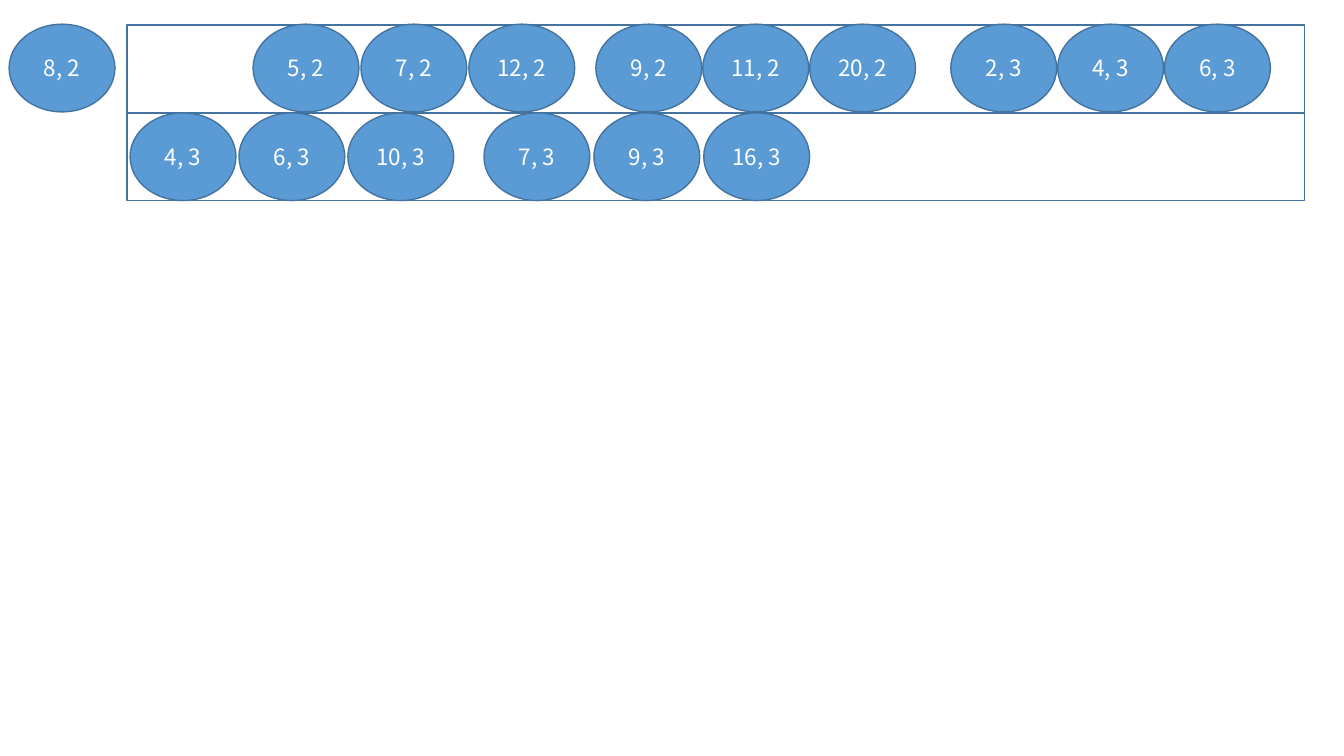
from pptx import Presentation
from pptx import util as u
from pptx.dml import color
from pptx.enum import shapes, text

PX = 9144  # EMU in one px, 100 px to the inch
FONT = "Noto Sans CJK KR"
BLUE, EDGE, WHITE = "5B9BD5", "43739E", "FFFFFF"
NODE_W, NODE_H = 105, 87

# Each group: offset from the bar's left edge, step, labels
TOP = [
    (125, 107, ["5, 2", "7, 2", "12, 2"]),
    (465, 106, ["9, 2", "11, 2", "20, 2"]),
    (817, 106, ["2, 3", "4, 3", "6, 3"]),
]
LOW = [
    (3, 108, ["4, 3", "6, 3", "10, 3"]),
    (354, 109, ["7, 3", "9, 3", "16, 3"]),
]


def rgb(code):
    return color.RGBColor.from_string(code)


def add_form(slide, kind, box, fill):
    form = slide.shapes.add_shape(kind, *(n * PX for n in box))
    form.shadow.inherit = False
    form.fill.solid()
    form.fill.fore_color.rgb = rgb(fill)
    form.line.color.rgb = rgb(EDGE)
    form.line.width = u.Pt(1)
    return form


def add_node(slide, left, top, label):
    node = add_form(slide, shapes.MSO_SHAPE.OVAL,
                    (left, top, NODE_W, NODE_H), BLUE)
    frame = node.text_frame
    frame.text = label
    frame.vertical_anchor = text.MSO_ANCHOR.MIDDLE
    para = frame.paragraphs[0]
    para.alignment = text.PP_ALIGN.CENTER
    font = para.runs[0].font
    font.name = FONT
    font.size = u.Pt(16)
    font.color.rgb = rgb(WHITE)


def add_row(slide, box, groups, lift):
    """Draw a bar and its groups of nodes, raised by lift px."""
    add_form(slide, shapes.MSO_SHAPE.RECTANGLE, box, WHITE)
    left, top = box[:2]
    for start, step, labels in groups:
        for i, label in enumerate(labels):
            add_node(slide, left + start + i * step, top - lift, label)


def main():
    deck = Presentation()
    deck.slide_width, deck.slide_height = 1333 * PX, 750 * PX
    slide = deck.slides.add_slide(deck.slide_layouts[6])

    # Lone node beside the bars
    add_node(slide, 9, 24, "8, 2")

    # Two stacked bars
    add_row(slide, (126, 25, 1168, 87), TOP, 1)
    add_row(slide, (126, 112, 1168, 87), LOW, 0)

    deck.save("out.pptx")


if __name__ == "__main__":
    main()
